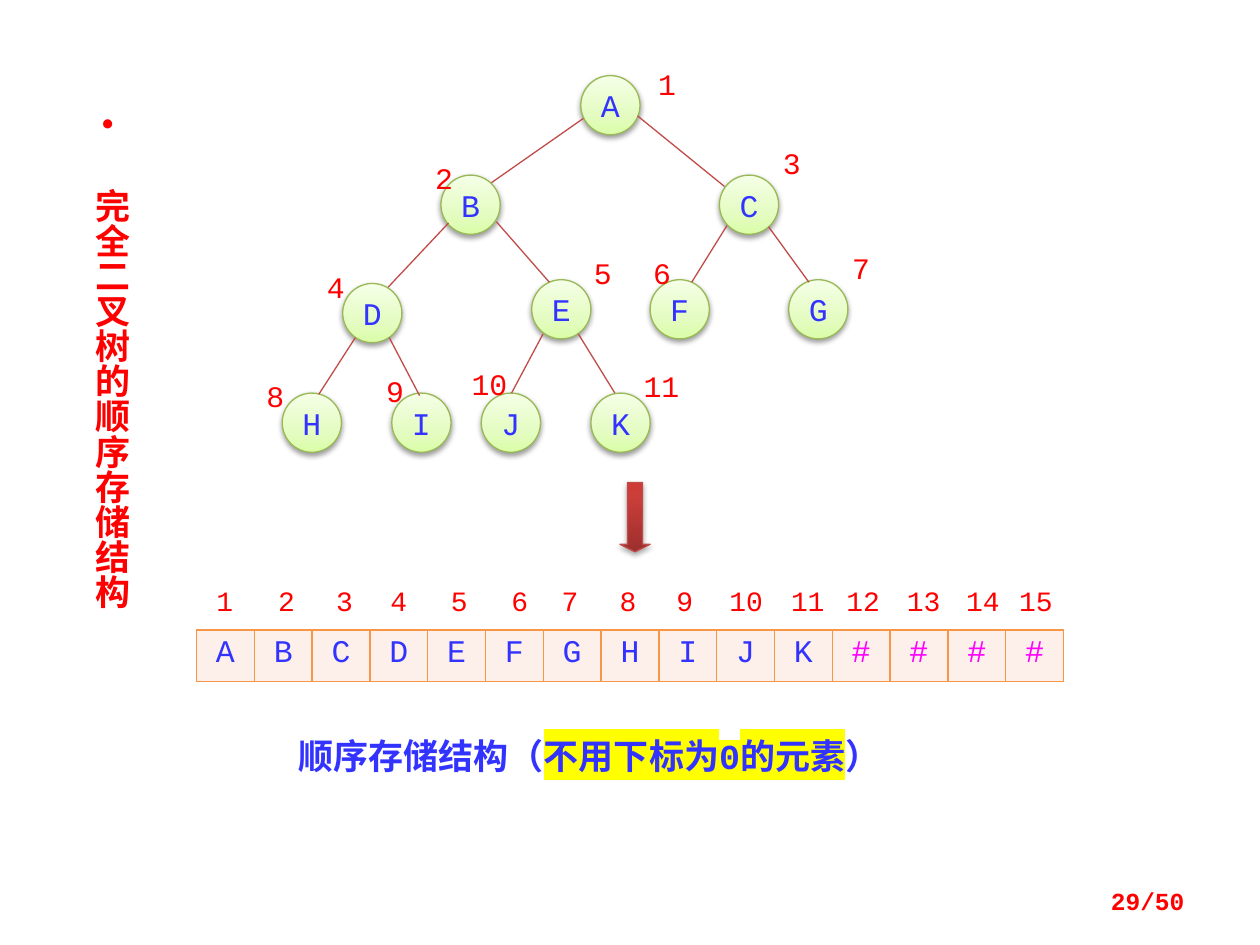
from dataclasses import dataclass

from lxml import etree
from pptx import Presentation
from pptx.dml.color import RGBColor
from pptx.enum.shapes import MSO_CONNECTOR, MSO_SHAPE
from pptx.enum.text import MSO_ANCHOR, PP_ALIGN
from pptx.oxml.ns import qn
from pptx.util import Inches, Pt

LEFT, CENTER, RIGHT = PP_ALIGN.LEFT, PP_ALIGN.CENTER, PP_ALIGN.RIGHT
TOP, MIDDLE = MSO_ANCHOR.TOP, MSO_ANCHOR.MIDDLE
OVAL, DOWN_ARROW = MSO_SHAPE.OVAL, MSO_SHAPE.DOWN_ARROW
STRAIGHT = MSO_CONNECTOR.STRAIGHT


@dataclass(frozen=True)
class Theme:
    font: str = "Courier New"
    blue: str = "3333FF"
    red: str = "FF0000"
    magenta: str = "FF00FF"
    highlight: str = "FFFF00"
    node_line: str = "98B955"
    edge: str = "BF4C48"
    cell_fill: str = "FDEFE9"
    cell_line: str = "F79646"
    node_stops: tuple = ((0, "DAFDA7"), (35, "E4FCC2"), (100, "F5FFE7"))
    arrow_stops: tuple = ((0, "9C2F2D"), (80, "CB3E3A"), (100, "CE3B37"))
    heading: int = 20
    letter: int = 18
    number: int = 17
    index: int = 16
    footer: int = 14
    line: float = 0.75


# letter: node left and top; label left, top and width
NODES = {
    "A": (4.61, 0.6, 5.06, 0.47, 0.47),
    "B": (3.5, 1.39, 3.29, 1.22, 0.47),
    "C": (5.71, 1.39, 6.05, 1.1, 0.47),
    "D": (2.72, 2.25, 2.43, 2.08, 0.47),
    "E": (4.22, 2.22, 4.55, 1.97, 0.47),
    "F": (5.16, 2.22, 5.02, 1.97, 0.47),
    "G": (6.26, 2.22, 6.6, 1.93, 0.47),
    "H": (2.24, 3.12, 1.95, 2.95, 0.47),
    "I": (3.11, 3.12, 2.9, 2.91, 0.47),
    "J": (3.82, 3.12, 3.61, 2.85, 0.55),
    "K": (4.69, 3.12, 4.99, 2.87, 0.52),
}
NODE_SIZE = 0.47
EDGES = [
    (4.63, 0.94, 3.9, 1.45), (5.06, 0.92, 5.75, 1.48),
    (3.56, 1.77, 3.08, 2.28), (3.94, 1.76, 4.36, 2.24),
    (5.77, 1.79, 5.49, 2.24), (6.1, 1.8, 6.42, 2.24),
    (2.82, 2.68, 2.53, 3.13), (3.09, 2.68, 3.33, 3.14),
    (4.31, 2.65, 4.06, 3.12), (4.59, 2.65, 4.88, 3.12),
]
INDEX_LEFTS = [1.62, 2.11, 2.57, 3, 3.48, 3.96, 4.36, 4.82,
               5.27, 5.69, 6.18, 6.62, 7.1, 7.57, 7.99]


def rgb(color):
    return RGBColor.from_string(color)


def add_color(parent, color):
    return etree.SubElement(parent, qn("a:srgbClr"), val=color)


class TreeSlide:
    """Holds the theme and the slide, and draws each kind of element."""

    def __init__(self, slide, theme):
        self.s, self.theme = slide, theme

    def style_run(self, r, size, color, bold=False):
        r.font.name, r.font.size, r.font.bold = self.theme.font, Pt(size), bold
        r.font.color.rgb = rgb(color)

    def shape(self, kind, box, stops, line, shadow_alpha):
        """Draws a preset shape with an upward gradient and a soft shadow."""
        sp = self.s.shapes.add_shape(kind, *map(Inches, box))
        sp.fill.gradient()
        sp.fill.gradient_angle = 90
        stop_list = sp.element.spPr.find(".//" + qn("a:gsLst"))
        for stop in list(stop_list):
            stop_list.remove(stop)
        for pos, color in stops:
            add_color(etree.SubElement(stop_list, qn("a:gs"), pos=str(pos * 1000)), color)
        sp.line.color.rgb = rgb(line)
        sp.line.width = Pt(self.theme.line)
        sp.shadow.inherit = False
        shadow = etree.SubElement(
            sp.element.spPr.find(qn("a:effectLst")), qn("a:outerShdw"),
            blurRad=str(Pt(3.1)), dist=str(Pt(1.7)), dir="5400000", rotWithShape="0")
        etree.SubElement(add_color(shadow, "000000"), qn("a:alpha"), val=str(shadow_alpha * 1000))
        return sp

    def node(self, letter, left, top):
        t = self.theme
        sp = self.shape(OVAL, (left, top, NODE_SIZE, NODE_SIZE), t.node_stops, t.node_line, 38)
        tf = sp.text_frame
        tf.text, tf.word_wrap, tf.vertical_anchor = letter, False, MIDDLE
        p = tf.paragraphs[0]
        p.alignment = CENTER
        self.style_run(p.runs[0], t.letter, t.blue)

    def edge(self, ends):
        line = self.s.shapes.add_connector(STRAIGHT, *map(Inches, ends))
        line.line.color.rgb = rgb(self.theme.edge)
        line.line.width = Pt(self.theme.line)
        etree.SubElement(line.element.spPr, qn("a:effectLst"))

    def text(self, text, box, size, color, align=LEFT, bold=False, anchor=TOP, shapes=None):
        """Adds a one-paragraph text box to the slide, or to a group's shapes."""
        tf = (shapes or self.s.shapes).add_textbox(*map(Inches, box)).text_frame
        tf.text, tf.word_wrap, tf.vertical_anchor = text, True, anchor
        p = tf.paragraphs[0]
        p.alignment = align
        self.style_run(p.runs[0], size, color, bold)
        return tf

    def vertical_bullet(self, text, box):
        tf = self.text(text, box, self.theme.heading, self.theme.red, bold=True)
        tf._txBody.bodyPr.set("vert", "eaVert")
        props = tf.paragraphs[0]._p.get_or_add_pPr()
        props.set("marL", str(Inches(0.5)))
        props.set("indent", str(-Inches(0.5)))
        etree.SubElement(props, qn("a:buChar"), char="•")

    def caption(self, before, marked, after, box):
        t = self.theme
        p = self.text(before, box, t.heading, t.blue, bold=True).paragraphs[0]
        for text in (marked, after):
            r = p.add_run()
            r.text = text
            self.style_run(r, t.heading, t.blue, True)
            if text == marked:
                mark = etree.Element(qn("a:highlight"))
                add_color(mark, t.highlight)
                r._r.rPr.find(qn("a:solidFill")).addnext(mark)

    def array(self, values, box):
        t = self.theme
        table = self.s.shapes.add_table(1, len(values), *map(Inches, box)).table
        table.first_row = table.horz_banding = False
        for cell, value in zip(table.rows[0].cells, values):
            cell.text = value
            p = cell.text_frame.paragraphs[0]
            p.alignment = CENTER
            self.style_run(p.runs[0], t.letter, t.magenta if value == "#" else t.blue)
            props = cell._tc.get_or_add_tcPr()
            for side in ("a:lnL", "a:lnR", "a:lnT", "a:lnB"):
                border = etree.SubElement(props, qn(side), w=str(Pt(1)))
                add_color(etree.SubElement(border, qn("a:solidFill")), t.cell_line)
            cell.fill.solid()
            cell.fill.fore_color.rgb = rgb(t.cell_fill)


def main():
    prs = Presentation()
    prs.slide_width, prs.slide_height = Inches(10), Inches(7.5)
    theme = Theme()
    page = TreeSlide(prs.slides.add_slide(prs.slide_layouts[6]), theme)

    for letter, (left, top, *_) in NODES.items():
        page.node(letter, left, top)
    for ends in EDGES:
        page.edge(ends)

    node_numbers = page.s.shapes.add_group_shape().shapes
    for number, (_, _, left, top, width) in enumerate(NODES.values(), 1):
        page.text(str(number), (left, top, width, 0.39), theme.number, theme.red,
                  CENTER, shapes=node_numbers)
    indices = page.s.shapes.add_group_shape().shapes
    for index, left in enumerate(INDEX_LEFTS, 1):
        page.text(str(index), (left, 4.58, 0.5, 0.37), theme.index, theme.red, shapes=indices)

    page.caption("顺序存储结构（", "不用下标为0的元素", "）", (2.27, 5.78, 4.94, 0.44))
    arrow = page.shape(DOWN_ARROW, (4.92, 3.83, 0.24, 0.55), theme.arrow_stops, theme.edge, 35)
    arrow.adjustments[0], arrow.adjustments[1] = 0.5, 0.25
    page.vertical_bullet("完全二叉树的顺序存储结构", (0.56, 0.9, 0.54, 5.32))
    page.array("ABCDEFGHIJK####", (1.56, 5, 6.88, 0.41))
    page.text("29/50", (7.17, 6.95, 2.33, 0.4), theme.footer, theme.red, RIGHT,
              bold=True, anchor=MIDDLE)

    prs.save("out.pptx")


if __name__ == "__main__":
    main()
